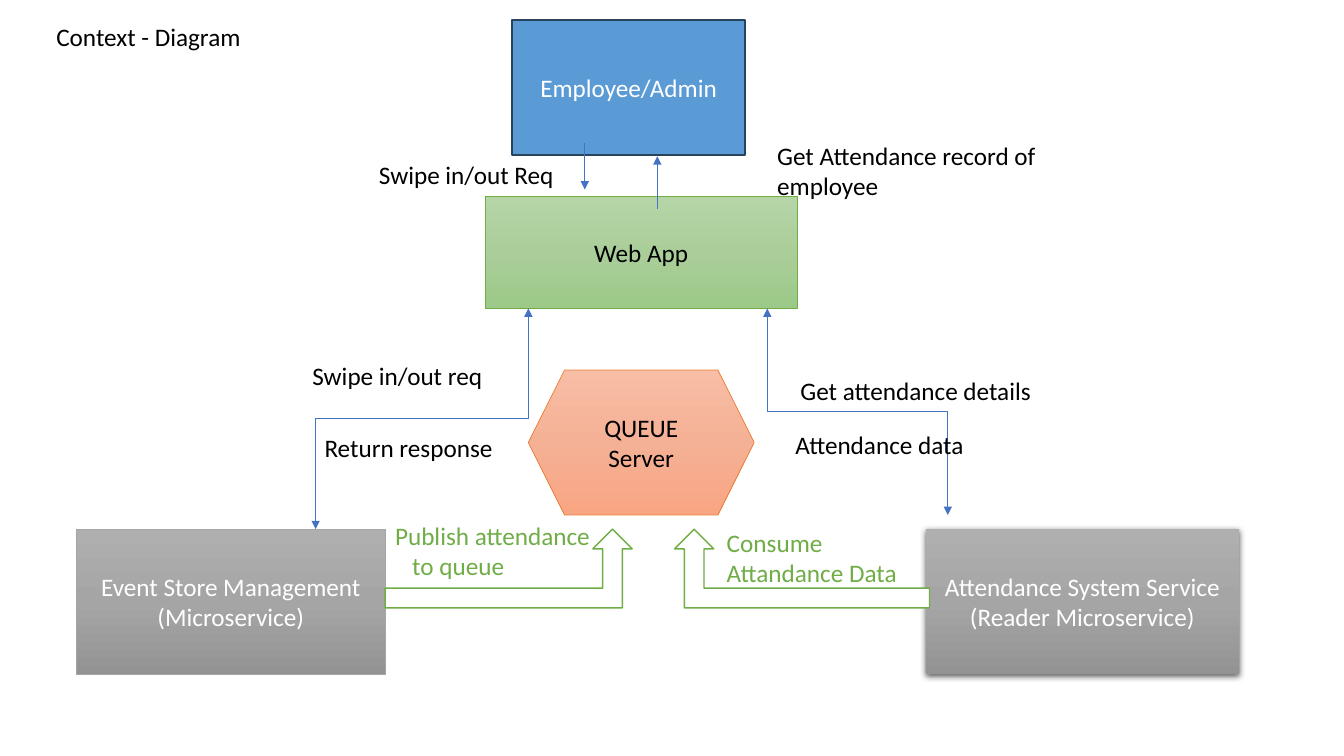
from copy import deepcopy
from dataclasses import dataclass

from lxml import etree
from pptx import Presentation
from pptx import util as u
from pptx.dml.color import RGBColor
from pptx.enum import shapes, text
from pptx.oxml import ns

COLORS = {
    "black": "000000", "white": "FFFFFF", "blue": "5B9BD5", "navy": "28445D",
    "green": "70AD47", "gray": "A5A5A5", "orange": "ED7D31", "arrow": "4472C4",
}
GRADIENTS = {
    "gray": ("AFAFAF", "A5A5A5", "939393"),
    "green": ("B5D5A7", "AACE9A", "9CC987"),
    "orange": ("F7BDA5", "F5B196", "F8A582"),
}
FONT, SIZE = "Calibri", 18
RECT, HEXAGON = shapes.MSO_SHAPE.RECTANGLE, shapes.MSO_SHAPE.HEXAGON
BENT_ARROW = shapes.MSO_SHAPE.BENT_UP_ARROW


@dataclass
class Node:
    left: float
    top: float
    width: float
    height: float
    fill: str
    line: str | None
    line_width: float = 0.5
    words: str = ""
    color: str = "white"
    kind: shapes.MSO_SHAPE = RECT
    flipped: bool = False
    shadow: bool = False


@dataclass
class Label:
    left: float
    top: float
    width: float
    words: str
    color: str = "black"
    height: float = 0.4
    hanging: float = 0


@dataclass
class Link:
    start: tuple[float, float]
    end: tuple[float, float]
    elbow: bool = False


NODES = [
    Node(5.08, 0.2, 2.31, 1.34, "blue", "navy", 1, "Employee/Admin"),
    Node(0.76, 5.25, 3.06, 1.44, "gray", "gray",
         words="Event Store Management (Microservice)"),
    Node(9.18, 5.25, 3.11, 1.44, "gray", None,
         words="Attendance System Service (Reader Microservice)", shadow=True),
    Node(4.81, 1.95, 3.1, 1.11, "green", "green", words="Web App", color="black"),
    Node(5.24, 3.67, 2.24, 1.44, "orange", "orange", words="QUEUE Server",
         color="black", kind=HEXAGON),
    Node(3.82, 5.25, 2.45, 0.78, "white", "green", 1, kind=BENT_ARROW),
    Node(6.69, 5.25, 2.53, 0.78, "white", "green", 1, kind=BENT_ARROW, flipped=True),
]
LINKS = [
    Link((6.52, 2.07), (6.52, 1.55)),
    Link((5.8, 1.42), (5.8, 1.88)),
    Link((7.61, 3.06), (9.4, 5.11), elbow=True),
    Link((5.24, 3.06), (3.13, 5.25), elbow=True),
]
LABELS = [
    Label(0.46, 0.16, 5.78, "Context - Diagram"),
    Label(3.66, 1.53, 2.31, "Swipe in/out Req"),
    Label(7.61, 1.34, 2.79, "Get Attendance record of employee", height=0.71),
    Label(3, 3.53, 2.08, "Swipe in/out req"),
    Label(3.12, 4.24, 2.11, "Return response"),
    Label(7.84, 3.67, 2.56, "Get attendance details"),
    Label(7.79, 4.21, 3.3, "Attendance data"),
    Label(3.82, 5.11, 2.26, "Publish attendance to queue", "green", 0.71, 0.17),
    Label(7.11, 5.18, 2.06, "Consume Attandance Data", "green", 0.71),
]


def rgb(name: str) -> RGBColor:
    return RGBColor.from_string(COLORS[name])


def write(frame, words: str, color: str):
    frame.word_wrap = True
    para = frame.paragraphs[0]
    para.text = words
    para.font.name, para.font.size = FONT, u.Pt(SIZE)
    para.font.color.rgb = rgb(color)
    return para


def fill_gradient(shape, stops: tuple[str, ...]) -> None:
    shape.fill.gradient()
    shape.fill.gradient_angle = 270
    stop_list = shape._element.spPr.find(".//" + ns.qn("a:gsLst"))
    stop_list.append(deepcopy(stop_list[0]))
    for index, (stop, color) in enumerate(zip(shape.fill.gradient_stops, stops)):
        stop.position = index / 2
        stop.color.rgb = RGBColor.from_string(color)


def add_shadow(shape) -> None:
    effects = shape._element.spPr.find(ns.qn("a:effectLst"))
    outer = etree.SubElement(effects, ns.qn("a:outerShdw"), blurRad=str(u.Pt(4.5)),
                             dist=str(u.Pt(1.5)), dir="5400000", algn="ctr",
                             rotWithShape="0")
    color = etree.SubElement(outer, ns.qn("a:srgbClr"), val=COLORS["black"])
    etree.SubElement(color, ns.qn("a:alpha"), val="63000")


def draw_node(page, node: Node) -> None:
    shape = page.shapes.add_shape(node.kind, *map(
        u.Inches, (node.left, node.top, node.width, node.height)))
    shape.shadow.inherit = False
    if node.fill in GRADIENTS:
        fill_gradient(shape, GRADIENTS[node.fill])
    else:
        shape.fill.solid()
        shape.fill.fore_color.rgb = rgb(node.fill)
    if node.line:
        shape.line.color.rgb = rgb(node.line)
        shape.line.width = u.Pt(node.line_width)
    else:
        shape.line.fill.background()
    if node.shadow:
        add_shadow(shape)
    if node.flipped:
        shape._element.spPr.find(ns.qn("a:xfrm")).set("flipH", "1")
    if node.words:
        shape.text_frame.vertical_anchor = text.MSO_ANCHOR.MIDDLE
        para = write(shape.text_frame, node.words, node.color)
        para.alignment = text.PP_ALIGN.CENTER


def draw_link(page, link: Link) -> None:
    (x1, y1), (x2, y2) = link.start, link.end
    start, end, kind = link.start, link.end, shapes.MSO_CONNECTOR.STRAIGHT
    if link.elbow:
        # Lay the elbow on its side; a quarter turn makes it leave vertically
        kind = shapes.MSO_CONNECTOR.ELBOW
        mid_x, mid_y = (x1 + x2) / 2, (y1 + y2) / 2
        half_w, half_h = (y2 - y1) / 2, abs(x2 - x1) / 2
        side = 1 if x2 > x1 else -1
        start = (mid_x + side * half_w, mid_y - half_h)
        end = (mid_x - side * half_w, mid_y + half_h)
    connector = page.shapes.add_connector(kind, *map(u.Inches, (*start, *end)))
    connector.line.color.rgb = rgb("arrow")
    connector.line.width = u.Pt(0.5)
    properties = connector._element.spPr
    if link.elbow:
        turn = 270 if x2 > x1 else 90
        properties.find(ns.qn("a:xfrm")).set("rot", str(turn * 60000))
    line = properties.find(ns.qn("a:ln"))
    for tip in ("headEnd", "tailEnd") if link.elbow else ("tailEnd",):
        etree.SubElement(line, ns.qn("a:" + tip), type="triangle")
    etree.SubElement(properties, ns.qn("a:effectLst"))


def draw_label(page, label: Label) -> None:
    box = page.shapes.add_textbox(*map(
        u.Inches, (label.left, label.top, label.width, label.height)))
    para = write(box.text_frame, label.words, label.color)
    box.text_frame.auto_size = text.MSO_AUTO_SIZE.SHAPE_TO_FIT_TEXT
    if label.hanging:
        margin = u.Inches(label.hanging)
        layout = para._p.get_or_add_pPr()
        layout.set("marL", str(margin))
        layout.set("indent", str(-margin))


def main() -> None:
    deck = Presentation()
    deck.slide_width, deck.slide_height = u.Inches(13.33), u.Inches(7.5)
    page = deck.slides.add_slide(deck.slide_layouts[6])
    # Systems and block arrows
    for node in NODES:
        draw_node(page, node)
    # Request and response lines
    for link in LINKS:
        draw_link(page, link)
    # Captions
    for label in LABELS:
        draw_label(page, label)
    deck.save("out.pptx")


if __name__ == "__main__":
    main()
